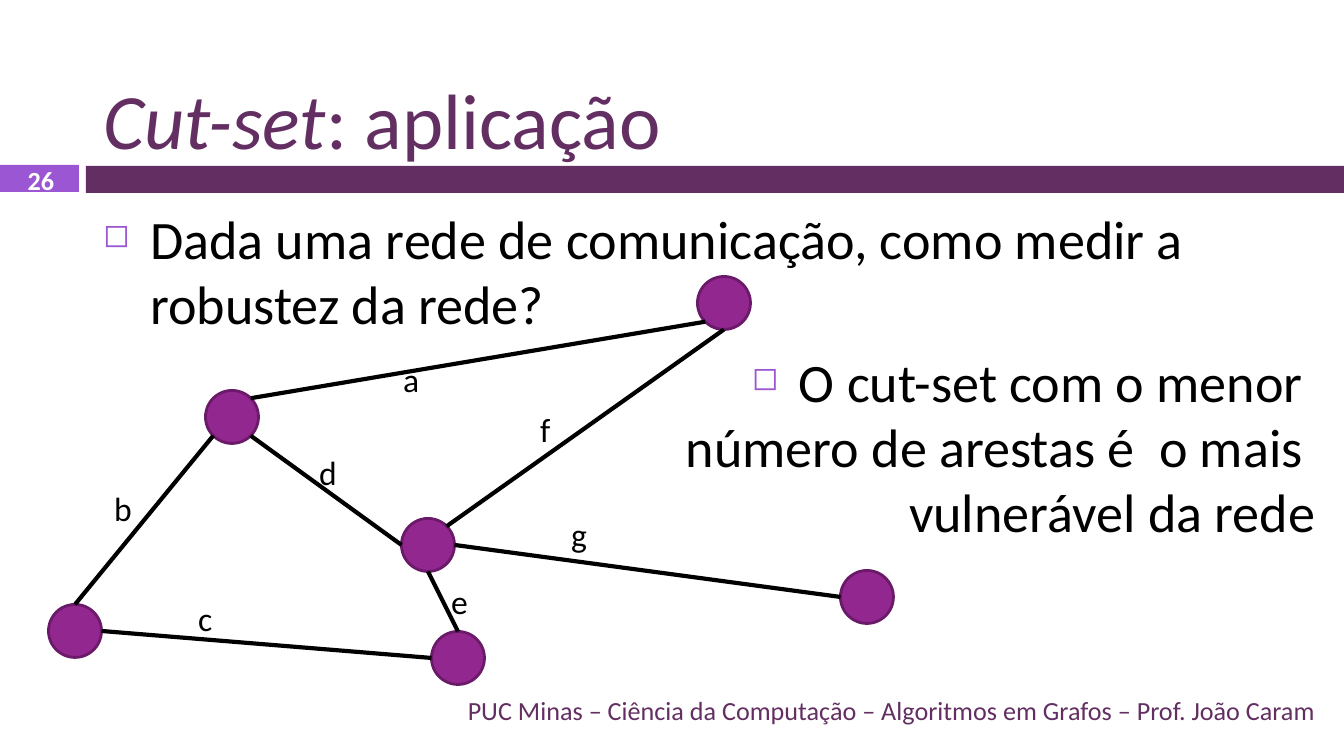
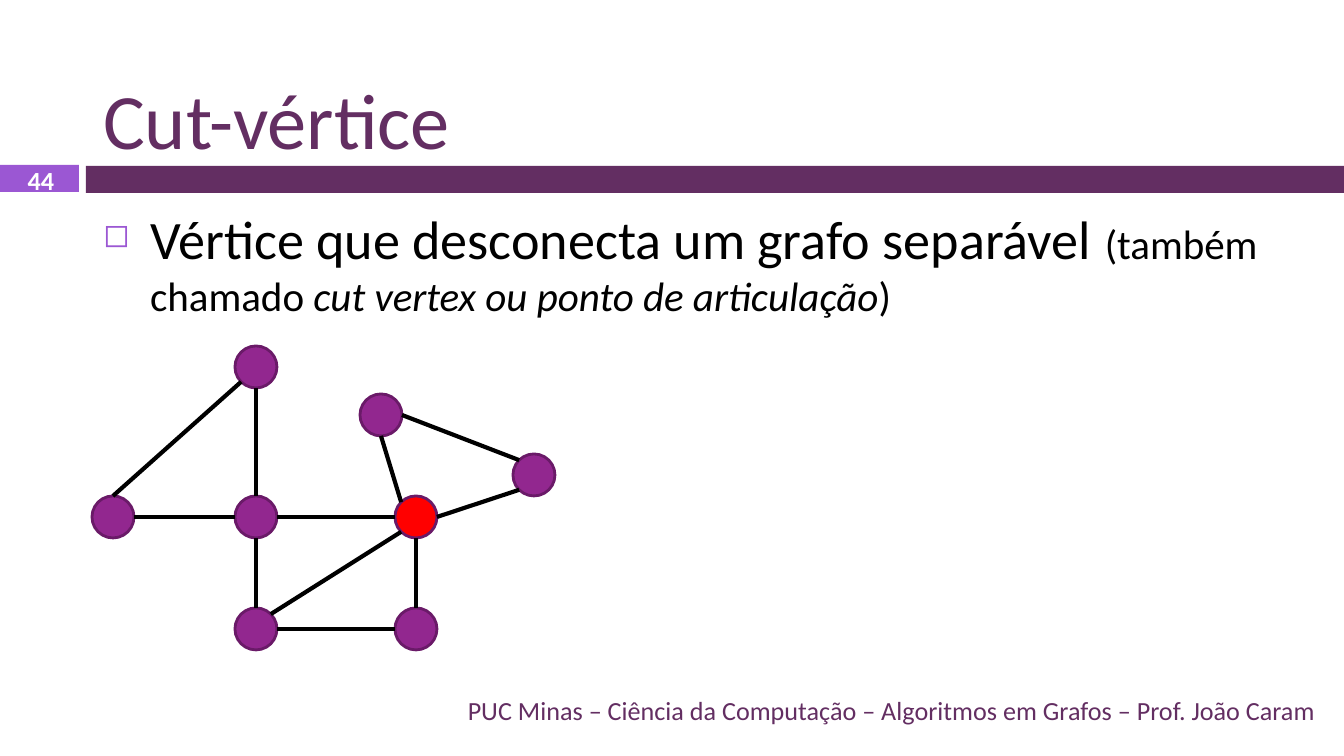
from dataclasses import dataclass
from math import cos, radians, sin

from lxml import etree
from pptx import Presentation
from pptx.dml.color import RGBColor
from pptx.enum.shapes import MSO_CONNECTOR, MSO_SHAPE
from pptx.enum.text import MSO_ANCHOR, PP_ALIGN
from pptx.oxml.ns import qn
from pptx.util import Inches, Pt

LEFT, CENTER, RIGHT = PP_ALIGN.LEFT, PP_ALIGN.CENTER, PP_ALIGN.RIGHT
TOP, MIDDLE, BOTTOM = MSO_ANCHOR.TOP, MSO_ANCHOR.MIDDLE, MSO_ANCHOR.BOTTOM
RECTANGLE, OVAL = MSO_SHAPE.RECTANGLE, MSO_SHAPE.OVAL
STRAIGHT = MSO_CONNECTOR.STRAIGHT

SLIDE_W, SLIDE_H = 1344, 756
SCALE = Inches(10) / SLIDE_W
BULLET_INDENT = 47
COMPASS = {side: 45 * step for step, side in
           enumerate(("E", "SE", "S", "SW", "W", "NW", "N", "NE"))}
FOOTER = "PUC Minas – Ciência da Computação – Algoritmos em Grafos – Prof. João Caram"


@dataclass(frozen=True)
class Theme:
    font: str = "Calibri"
    plum: str = "632E62"
    violet: str = "9B57D3"
    vertex: str = "92278F"
    vertex_rim: str = "6A1A68"
    cut: str = "FF0000"
    ink: str = "000000"
    paper: str = "FFFFFF"
    title: int = 42
    body: int = 29
    aside: int = 22
    label: int = 18
    small: int = 14
    rim_width: float = 1.5
    edge_width: float = 2.25


THEME = Theme()


def px(length):
    return round(length * SCALE)


def rgb(color):
    return RGBColor.from_string(color)


def add_filled(slide, kind, box, fill, rim=None):
    shape = slide.shapes.add_shape(kind, *map(px, box))
    shape.shadow.inherit = False
    shape.fill.solid()
    shape.fill.fore_color.rgb = rgb(fill)
    if rim:
        shape.line.color.rgb = rgb(rim)
        shape.line.width = Pt(THEME.rim_width)
    else:
        shape.line.fill.background()


def add_frame(slide, box, anchor=TOP):
    frame = slide.shapes.add_textbox(*map(px, box)).text_frame
    frame.word_wrap = True
    frame.vertical_anchor = anchor
    return frame


def write(paragraph, runs, size, color, align=LEFT, bold=None):
    paragraph.alignment = align
    paragraph.font.name = THEME.font
    paragraph.font.size = Pt(size)
    paragraph.font.color.rgb = rgb(color)
    paragraph.font.bold = bold
    for text, italic, run_size in runs:
        for number, line in enumerate(text.split("\n")):
            if number:
                paragraph.add_line_break()
            run = paragraph.add_run()
            run.text = line
            if italic:
                run.font.italic = True
            if run_size:
                run.font.size = Pt(run_size)


def plain(text):
    return [(text, False, None)]


def add_text(slide, box, runs, size, color, align=LEFT, anchor=TOP, bold=None):
    frame = add_frame(slide, box, anchor)
    write(frame.paragraphs[0], runs, size, color, align, bold)
    return frame


def add_bullet_mark(paragraph):
    properties = paragraph._p.get_or_add_pPr()
    properties.set("marL", str(px(BULLET_INDENT)))
    properties.set("indent", str(-px(BULLET_INDENT)))
    tint = etree.SubElement(properties, qn("a:buClr"))
    etree.SubElement(tint, qn("a:srgbClr"), val=THEME.violet)
    etree.SubElement(properties, qn("a:buSzPct"), val="60000")
    etree.SubElement(properties, qn("a:buChar"), char="◻")


def add_bullets(slide, bullets):
    frame = add_frame(slide, (90, 199, 1239, 481))
    for number, (runs, align) in enumerate(bullets):
        paragraph = frame.add_paragraph() if number else frame.paragraphs[0]
        add_bullet_mark(paragraph)
        if number:
            paragraph.space_before = Pt(7)
        write(paragraph, runs, THEME.body, THEME.ink, align)


def add_graph(slide, vertices, edges, diameter, cut=None):
    radius = diameter / 2
    for name, (x, y) in vertices.items():
        add_filled(slide, OVAL, (x - radius, y - radius, diameter, diameter),
                   THEME.cut if name == cut else THEME.vertex, THEME.vertex_rim)

    def rim_point(name, side):
        x, y = vertices[name]
        angle = radians(COMPASS[side])
        return px(x + radius * cos(angle)), px(y + radius * sin(angle))

    for start, start_side, end, end_side in edges:
        edge = slide.shapes.add_connector(
            STRAIGHT, *rim_point(start, start_side), *rim_point(end, end_side))
        edge.line.color.rgb = rgb(THEME.ink)
        edge.line.width = Pt(THEME.edge_width)
        etree.SubElement(edge._element.spPr, qn("a:effectLst"))


def add_edge_labels(slide, labels):
    for letter, (x, y) in labels.items():
        add_text(slide, (x, y, 47, 53), plain(letter), THEME.label, THEME.ink)


def start_slide(deck, number, title):
    slide = deck.slides.add_slide(deck.slide_layouts[6])
    add_filled(slide, RECTANGLE, (86, 166, SLIDE_W - 86, 27), THEME.plum)
    add_filled(slide, RECTANGLE, (0, 165, 79, 27), THEME.violet)
    heading = add_text(slide, (90, 17, 1239, 148), title, THEME.title, THEME.plum,
                       anchor=BOTTOM)
    heading.margin_bottom = 0
    add_text(slide, (2, 167, 78, 27), plain(str(number)), THEME.small, THEME.paper,
             CENTER, MIDDLE, bold=True)
    add_text(slide, (90, 690, 1239, 40), plain(FOOTER), THEME.small, THEME.plum,
             RIGHT, MIDDLE)
    return slide


def build_cut_set(deck):
    slide = start_slide(deck, 26, [("Cut-set", True, None), (": aplicação", False, None)])
    add_bullets(slide, [
        (plain("Dada uma rede de comunicação, como medir a robustez da rede?"), LEFT),
        (plain("O cut-set com o menor \nnúmero de arestas é  o mais \nvulnerável da rede"),
         RIGHT),
    ])
    vertices = {
        "top": (724, 303), "hub": (428, 545), "upper": (232, 417),
        "bottom": (458, 658), "corner": (75, 631), "far": (867, 597),
    }
    edges = [
        ("hub", "W", "upper", "SE"),
        ("corner", "N", "upper", "SW"),
        ("bottom", "N", "hub", "S"),
        ("corner", "E", "bottom", "W"),
        ("upper", "NE", "top", "SW"),
        ("hub", "NE", "top", "S"),
        ("far", "W", "hub", "E"),
    ]
    add_graph(slide, vertices, edges, 53)
    add_edge_labels(slide, {
        "a": (390, 352), "b": (101, 481), "c": (185, 591), "d": (306, 445),
        "e": (438, 574), "f": (527, 402), "g": (558, 507),
    })


def build_cut_vertex(deck):
    slide = start_slide(deck, 44, plain("Cut-vértice"))
    add_bullets(slide, [([
        ("Vértice que desconecta um grafo separável ", False, None),
        ("(também chamado ", False, THEME.aside),
        ("cut vertex ou ponto de articulação", True, THEME.aside),
        (")", False, THEME.aside),
    ], LEFT)])
    vertices = {
        "left": (113, 517), "top": (256, 367), "middle": (256, 517),
        "bottom": (256, 629), "cut": (416, 517), "corner": (416, 629),
        "right": (534, 475), "upper": (381, 415),
    }
    edges = [
        ("corner", "W", "bottom", "E"),
        ("middle", "S", "bottom", "N"),
        ("cut", "S", "corner", "N"),
        ("cut", "SW", "bottom", "NE"),
        ("middle", "W", "left", "E"),
        ("top", "SW", "left", "N"),
        ("top", "S", "middle", "N"),
        ("right", "SW", "cut", "E"),
        ("right", "NW", "upper", "E"),
        ("cut", "NW", "upper", "S"),
        ("cut", "W", "middle", "E"),
    ]
    add_graph(slide, vertices, edges, 42, cut="cut")


def main():
    deck = Presentation()
    deck.slide_width, deck.slide_height = px(SLIDE_W), px(SLIDE_H)
    build_cut_set(deck)
    build_cut_vertex(deck)
    deck.save("out.pptx")


if __name__ == "__main__":
    main()
